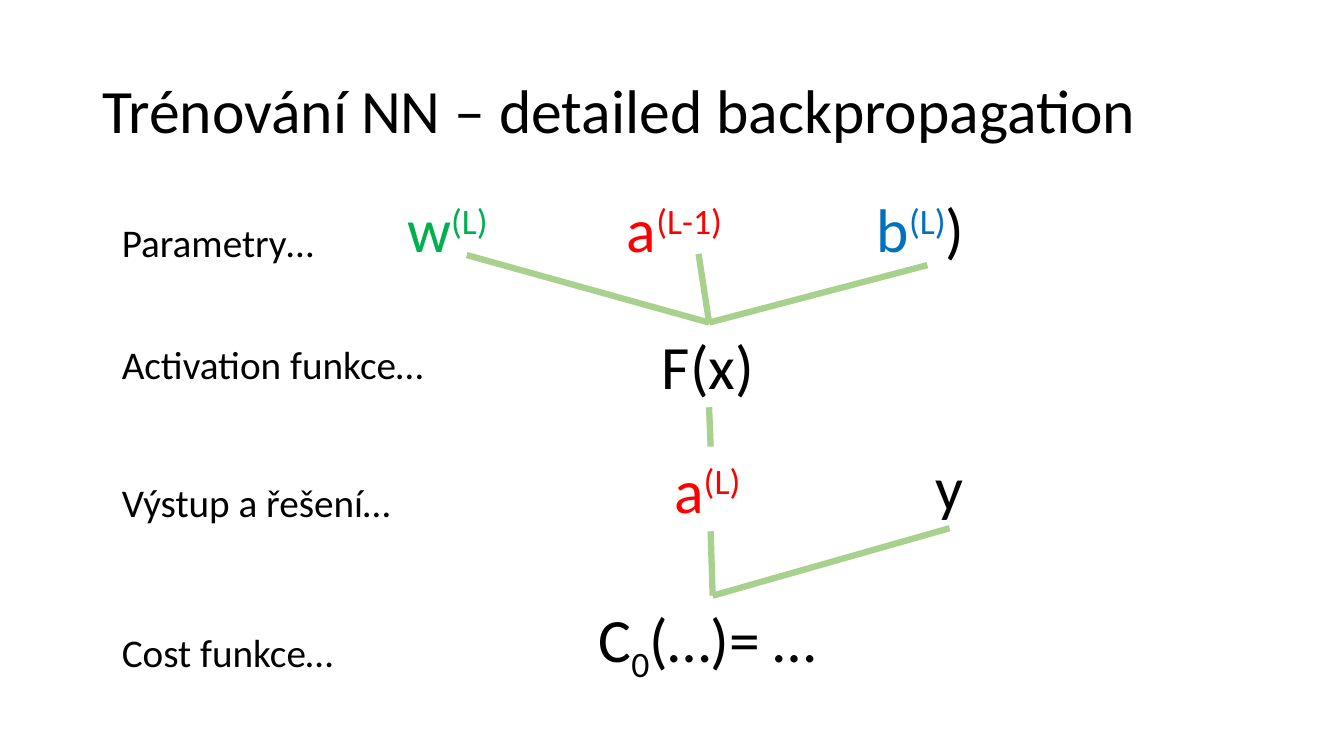
"""Build the backpropagation slide with its tree of formulas."""
from lxml.etree import SubElement
from pptx import Presentation
from pptx.dml.color import RGBColor
from pptx.enum.shapes import MSO_CONNECTOR
from pptx.enum.text import MSO_ANCHOR, MSO_AUTO_SIZE, PP_ALIGN
from pptx.oxml.ns import qn
from pptx.util import Pt

COLORS = {"black": "000000", "green": "00B050", "red": "FF0000",
          "blue": "0070C0", "line": "A9D18E"}
SUPER, SUB = 30000, -25000
TOP, BOTTOM = 0, 2


def add_text(x, y, w, h, size, runs):
    sp = slide.shapes.add_textbox(Pt(x), Pt(y), Pt(w), Pt(h))
    tf = sp.text_frame
    tf.word_wrap = False
    tf.auto_size = MSO_AUTO_SIZE.SHAPE_TO_FIT_TEXT
    p = tf.paragraphs[0]
    p.font.size = Pt(size)
    p.font.name = "Calibri"
    for text, color, baseline in runs:
        r = p.add_run()
        r.text = text
        r.font.size = Pt(size)
        r.font.name = "Calibri"
        r.font.color.rgb = RGBColor.from_string(COLORS[color])
        if baseline:
            r._r.get_or_add_rPr().set("baseline", str(baseline))
    return sp


def add_line(x1, y1, x2, y2):
    line = slide.shapes.add_connector(
        MSO_CONNECTOR.STRAIGHT, Pt(x1), Pt(y1), Pt(x2), Pt(y2))
    line.line.color.rgb = RGBColor.from_string(COLORS["line"])
    line.line.width = Pt(4.5)
    SubElement(line._element.spPr, qn("a:effectLst"))
    return line


prs = Presentation()
prs.slide_width, prs.slide_height = Pt(960), Pt(540)
slide = prs.slides.add_slide(prs.slide_layouts[5])

title = slide.shapes.title
title.left, title.top, title.width, title.height = Pt(66), Pt(28.8), Pt(828), Pt(104.4)
tf = title.text_frame
tf.text = "Trénování NN – detailed backpropagation"
tf.vertical_anchor = MSO_ANCHOR.MIDDLE
p = tf.paragraphs[0]
p.alignment = PP_ALIGN.LEFT
p.line_spacing = 0.9
p.font.size = Pt(44)
p.font.name = "Calibri"
p.font.color.rgb = RGBColor.from_string(COLORS["black"])

params = add_text(283.7, 133.2, 432, 60.5, 44, [
    ("w", "green", 0), ("(L)\t", "green", SUPER),
    ("a", "red", 0), ("(L-1)\t", "red", SUPER),
    ("b", "blue", 0), ("(L)", "blue", SUPER), (")", "black", 0)])
params.text_frame.word_wrap = True
tabs = SubElement(params.text_frame.paragraphs[0]._p.get_or_add_pPr(), qn("a:tabLst"))
for stop in (157, 335.5):
    SubElement(tabs, qn("a:tab"), pos=str(Pt(stop)), algn="l")
pPr = tabs.getparent()
pPr.insert(0, tabs)

cost = add_text(420.5, 425.5, 177.1, 60.5, 44, [
    ("C", "black", 0), ("0", "black", SUB), ("(…)= …", "black", 0)])
activation = add_text(465.8, 230.4, 81.4, 60.5, 44, [("F(x)", "black", 0)])
output = add_text(474.5, 319, 66.2, 60.5, 44, [("a", "red", 0), ("(L)", "red", SUPER)])
target = add_text(661, 316.8, 34.6, 60.5, 44, [("y", "black", 0)])

for x, y in ((333.4, 182.2), (499, 181.4), (662.4, 189.4)):
    add_line(x, y, 506.5, 230.4).end_connect(activation, TOP)

for upper, lower in ((activation, output), (output, cost), (target, cost)):
    line = add_line(0, 0, 0, 0)
    line.begin_connect(lower, TOP)
    line.end_connect(upper, BOTTOM)

for text, y, w in (("Parametry…", 152.6, 153.4), ("Activation funkce…", 239.8, 232.6),
                   ("Výstup a řešení…", 338.4, 208.8), ("Cost funkce…", 445, 167)):
    add_text(79.9, y, w, 41, 28, [(text, "black", 0)])

prs.save("out.pptx")
